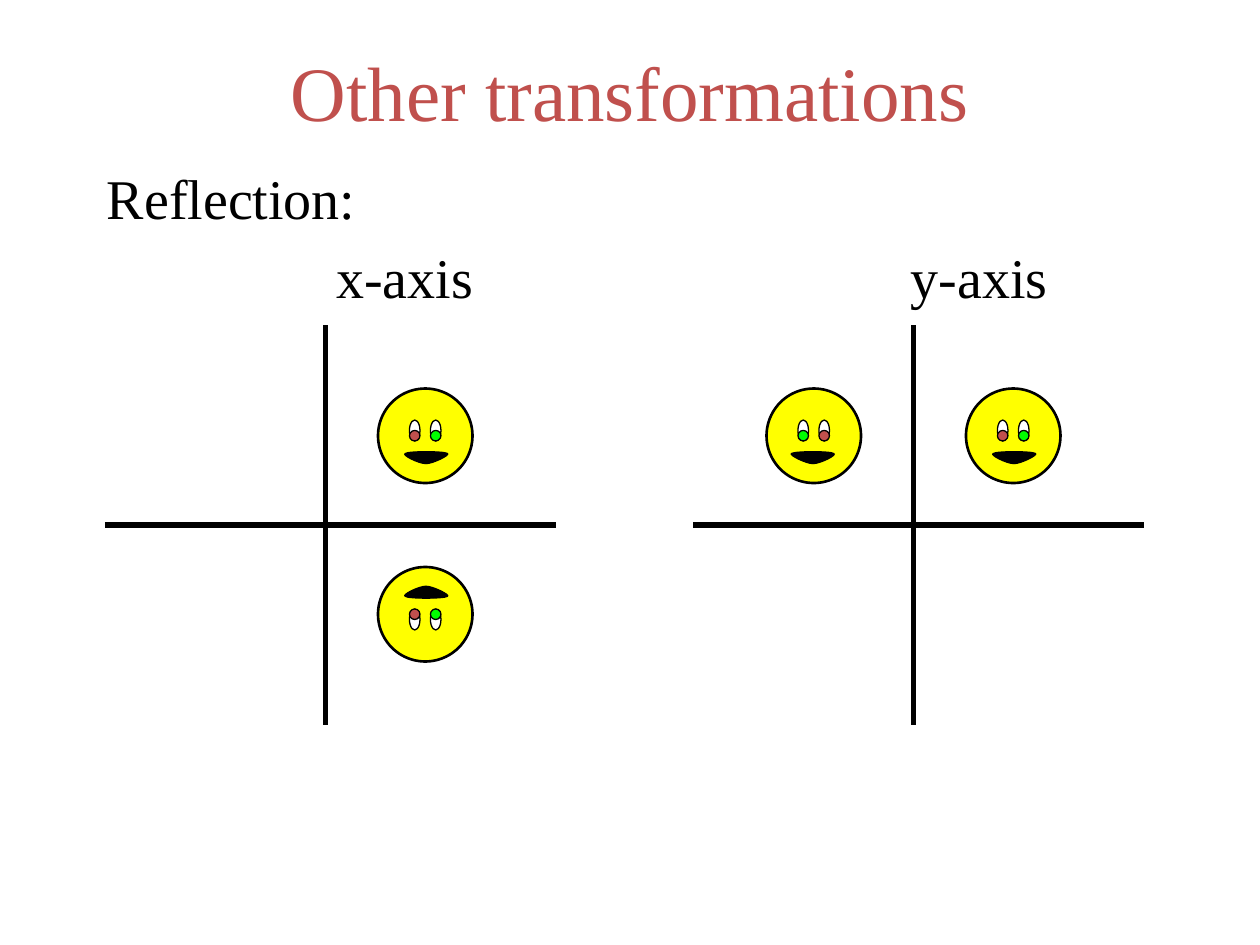
from dataclasses import dataclass

from pptx import Presentation
from pptx.dml.color import RGBColor as RGB
from pptx.enum.shapes import MSO_CONNECTOR as Link, MSO_SHAPE as Kind
from pptx.enum.text import MSO_ANCHOR as Anchor, PP_ALIGN as Align
from pptx.oxml.ns import qn
from pptx.util import Inches, Pt
from lxml.etree import SubElement


@dataclass
class Theme:
    font: str = "Times New Roman"
    black: str = "000000"
    white: str = "FFFFFF"
    red: str = "C0504D"
    green: str = "00FF00"
    yellow: str = "FFFF00"
    title: float = 44
    body: float = 32


# The layout sits on a grid of twelfths of an inch
FACE = 9
# Mouth: start, then three points for each curve, from the face's corner
MOUTH = [
    (2.6, 6.2),
    (2.22, 6.33), (3.9, 7.16), (4.57, 7.16),
    (5.22, 7.16), (6.9, 6.33), (6.62, 6.2),
    (6.25, 5.97), (2.9, 5.97), (2.6, 6.2),
]


def grid(*units):
    return [Inches(unit / 12) for unit in units]


def bend(shape):
    """Turn each three line segments of an outline into one curve."""
    outline = next(shape._element.iter(qn("a:path")))
    lines = outline.findall(qn("a:lnTo"))
    close = outline.find(qn("a:close"))
    for i in range(0, len(lines), 3):
        curve = SubElement(outline, qn("a:cubicBezTo"))
        for line in lines[i:i + 3]:
            curve.append(line[0])
            outline.remove(line)
    outline.append(close)


def write(box, text, first=False, size=32, color="000000", font=None,
          align=Align.LEFT, before=0, tabs=()):
    """Put one formatted paragraph in a text box."""
    frame = box.text_frame
    para = frame.paragraphs[0] if first else frame.add_paragraph()
    para.alignment = align
    if before:
        para.space_before = Pt(before)
    if tabs:
        stops = SubElement(para._p.get_or_add_pPr(), qn("a:tabLst"))
        for stop in tabs:
            SubElement(stops, qn("a:tab"), pos=str(Inches(stop)), algn="l")
    run = para.add_run()
    run.text = text
    run.font.name = font
    run.font.size = Pt(size)
    run.font.color.rgb = RGB.from_string(color)


class Deck:
    def __init__(self, theme):
        self.theme = theme
        self.prs = Presentation()
        self.prs.slide_width, self.prs.slide_height = Inches(10), Inches(7.5)
        self.slide = self.prs.slides.add_slide(self.prs.slide_layouts[6])

    def group(self):
        return self.slide.shapes.add_group_shape().shapes

    def box(self, *spot, anchor=Anchor.TOP):
        box = self.slide.shapes.add_textbox(*grid(*spot))
        box.text_frame.word_wrap = True
        box.text_frame.vertical_anchor = anchor
        return box

    def paint(self, shape, fill, width=0.75):
        shape.shadow.inherit = False
        shape.fill.solid()
        shape.fill.fore_color.rgb = RGB.from_string(fill)
        shape.line.color.rgb = RGB.from_string(self.theme.black)
        shape.line.width = Pt(width)

    def line(self, group, *ends):
        line = group.add_connector(Link.STRAIGHT, *grid(*ends))
        line.line.color.rgb = RGB.from_string(self.theme.black)
        line.line.width = Pt(3)
        SubElement(line._element.spPr, qn("a:effectLst"))

    def axes(self, x, y):
        """Draw a pair of axes that cross at x, y."""
        group = self.group()
        self.line(group, x, y - 19, x, y + 19)
        self.line(group, x - 21, y, x + 22, y)

    def face(self, left, top, mirror=False, invert=False):
        """Draw a face, reflected left to right or top to bottom."""
        group = self.group()

        def place(x, y, w=0, h=0):
            return grid(left + (FACE - x - w if mirror else x),
                        top + (FACE - y - h if invert else y))

        def oval(x, y, w, h, fill, width=0.75):
            shape = group.add_shape(Kind.OVAL, *place(x, y, w, h),
                                    *grid(w, h))
            self.paint(shape, fill, width)

        oval(0, 0, FACE, FACE, self.theme.yellow, 1.5)
        # Mouth
        start, *rest = [place(*dot) for dot in MOUTH]
        pen = group.build_freeform(*start)
        pen.add_line_segments(rest, close=True)
        mouth = pen.convert_to_shape()
        bend(mouth)
        self.paint(mouth, self.theme.black)
        # Eyes, then pupils
        eyes = ((3, self.theme.red), (5, self.theme.green))
        for x, _ in eyes:
            oval(x, 3, 1, 2, self.theme.white)
        for x, fill in eyes:
            oval(x, 4, 1, 1, fill)


def main():
    theme = Theme()
    deck = Deck(theme)

    # Title and labels
    write(deck.box(9, 4.1, 102, 9, anchor=Anchor.MIDDLE),
          "Other transformations", first=True, size=theme.title,
          color=theme.red, font=theme.font, align=Align.CENTER)
    body = deck.box(9, 15, 102, 65)
    style = dict(size=theme.body, color=theme.black, font=theme.font)
    write(body, "Reflection:", first=True, **style)
    write(body, "\tx-axis\ty-axis", before=6.4, tabs=(1.82, 6.38), **style)

    # Axes
    for x in (31, 87):
        deck.axes(x, 50)

    # Reflection in the x-axis
    deck.face(36, 37)
    deck.face(36, 54, invert=True)

    # Reflection in the y-axis
    deck.face(92, 37)
    deck.face(73, 37, mirror=True)

    deck.prs.save("out.pptx")


if __name__ == "__main__":
    main()
